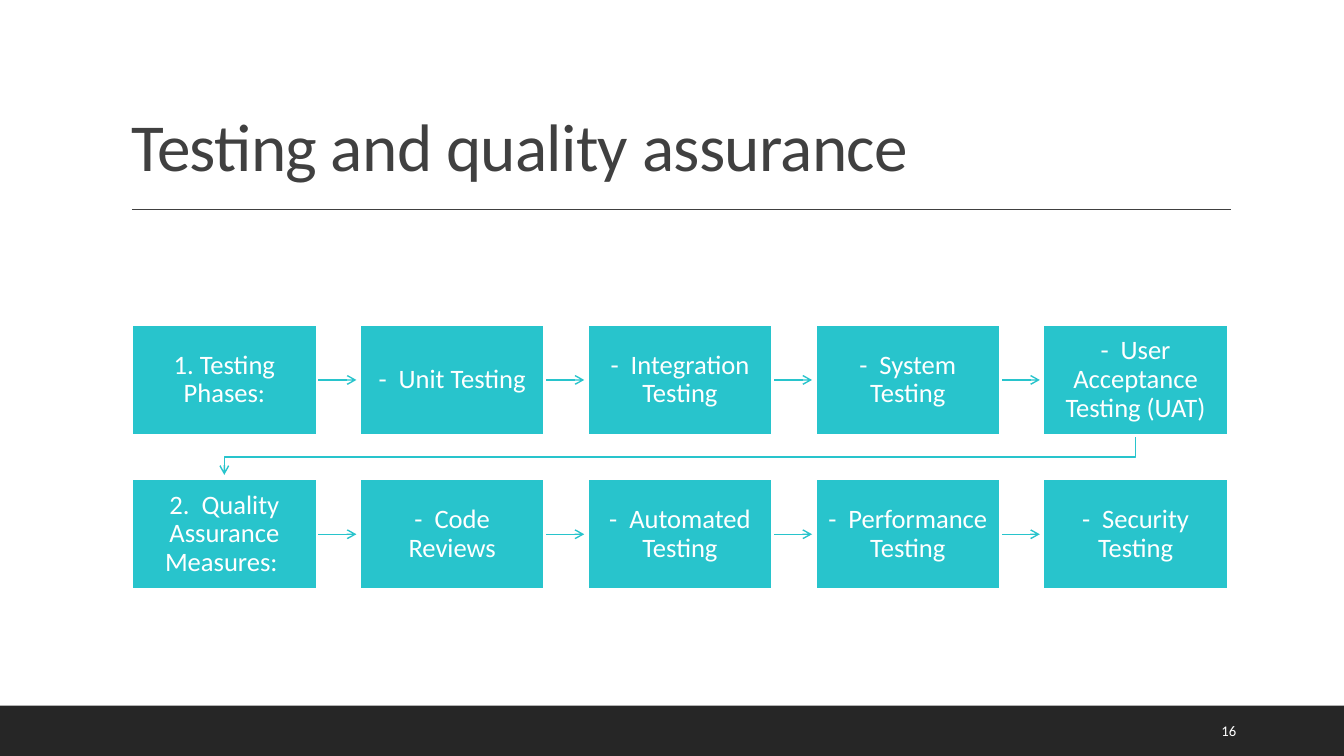
from lxml.etree import SubElement
from pptx import Presentation
from pptx.dml.color import RGBColor
from pptx.enum.shapes import MSO_CONNECTOR, MSO_SHAPE
from pptx.enum.text import MSO_ANCHOR, PP_ALIGN
from pptx.oxml.ns import qn
from pptx.util import Pt

TEAL = RGBColor(0x28, 0xC4, 0xCC)
DARK = RGBColor(0x26, 0x26, 0x26)
GREY = RGBColor(0x40, 0x40, 0x40)
WHITE = RGBColor(0xFF, 0xFF, 0xFF)

ROWS = [
    ["1. Testing Phases:", "-  Unit Testing", "-  Integration Testing",
     "-  System Testing", "-  User Acceptance Testing (UAT)"],
    ["2.  Quality Assurance Measures: ", "-  Code Reviews", "-  Automated Testing",
     "-  Performance Testing", "-  Security Testing"],
]
LEFT, TOP = 94.1, 231.8
BOX_W, BOX_H = 132.3, 79.2
STEP_X, STEP_Y = 162.72, 110.2
ARROW_W = 28.2


def add_run(p, text, size, color):
    r = p.add_run()
    r.text = text
    r.font.name = "Calibri"
    r.font.size = Pt(size)
    r.font.color.rgb = color
    return r


def add_rect(s, x, y, w, h, fill):
    sp = s.shapes.add_shape(MSO_SHAPE.RECTANGLE, Pt(x), Pt(y), Pt(w), Pt(h))
    sp.shadow.inherit = False
    sp.fill.solid()
    sp.fill.fore_color.rgb = fill
    sp.line.fill.background()
    return sp


def add_line(s, x1, y1, x2, y2, color):
    line = s.shapes.add_connector(MSO_CONNECTOR.STRAIGHT, Pt(x1), Pt(y1), Pt(x2), Pt(y2))
    line.line.color.rgb = color
    line.line.width = Pt(1)
    SubElement(line._element.spPr, qn("a:effectLst"))
    return line


def add_arrowhead(sp):
    SubElement(sp.line._get_or_add_ln(), qn("a:tailEnd"), type="arrow")


def add_step(s, x, y, text):
    sp = add_rect(s, x, y, BOX_W, BOX_H, TEAL)
    sp.line.color.rgb = WHITE
    sp.line.width = Pt(2)
    tf = sp.text_frame
    tf.word_wrap = True
    tf.vertical_anchor = MSO_ANCHOR.MIDDLE
    tf.margin_left = tf.margin_right = tf.margin_top = tf.margin_bottom = Pt(6.5)
    p = tf.paragraphs[0]
    p.alignment = PP_ALIGN.CENTER
    p.line_spacing = 0.9
    add_run(p, text, 19, WHITE)


def add_row_return(s):
    """Bent arrow from the last box of row one to the first box of row two."""
    start_x = LEFT + 4 * STEP_X + BOX_W / 2
    end_x = LEFT + BOX_W / 2
    bottom = TOP + BOX_H
    middle = (bottom + TOP + STEP_Y) / 2
    builder = s.shapes.build_freeform(Pt(start_x), Pt(bottom))
    builder.add_line_segments(
        [(Pt(start_x), Pt(middle)), (Pt(end_x), Pt(middle)), (Pt(end_x), Pt(bottom + ARROW_W))],
        close=False)
    sp = builder.convert_to_shape()
    sp.shadow.inherit = False
    sp.fill.background()
    sp.line.color.rgb = TEAL
    sp.line.width = Pt(1)
    add_arrowhead(sp)


def add_title(s, text):
    sp = s.shapes.title
    sp.left, sp.top, sp.width, sp.height = Pt(86.4), Pt(22.3), Pt(792), Pt(114.5)
    tf = sp.text_frame
    tf.word_wrap = True
    tf.vertical_anchor = MSO_ANCHOR.BOTTOM
    p = tf.paragraphs[0]
    p.alignment = PP_ALIGN.LEFT
    p.line_spacing = 0.9
    r = add_run(p, text, 48, GREY)
    r.font._element.set("spc", "-50")


def add_slide_number(s, text):
    tf = s.shapes.add_textbox(Pt(865.4), Pt(507.6), Pt(61.2), Pt(28.8)).text_frame
    tf.word_wrap = True
    tf.vertical_anchor = MSO_ANCHOR.MIDDLE
    p = tf.paragraphs[0]
    p.space_after = Pt(6)
    add_run(p, text, 10.5, WHITE)


def main():
    prs = Presentation()
    prs.slide_width, prs.slide_height = Pt(960), Pt(540)
    s = prs.slides.add_slide(prs.slide_layouts[5])

    # Footer band, title and rule
    add_rect(s, 0, 504, 960, 36, DARK)
    add_line(s, 94.3, 149.6, 879.1, 149.6, GREY)
    add_title(s, "Testing and quality assurance")
    add_slide_number(s, "16")

    # Process: arrows lie under the white box outlines
    add_row_return(s)
    for row, steps in enumerate(ROWS):
        y = TOP + row * STEP_Y
        for col, text in enumerate(steps):
            x = LEFT + col * STEP_X
            if col < len(steps) - 1:
                right, center = x + BOX_W, y + BOX_H / 2
                add_arrowhead(add_line(s, right, center, right + ARROW_W, center, TEAL))
            add_step(s, x, y, text)

    prs.save("out.pptx")


if __name__ == "__main__":
    main()
